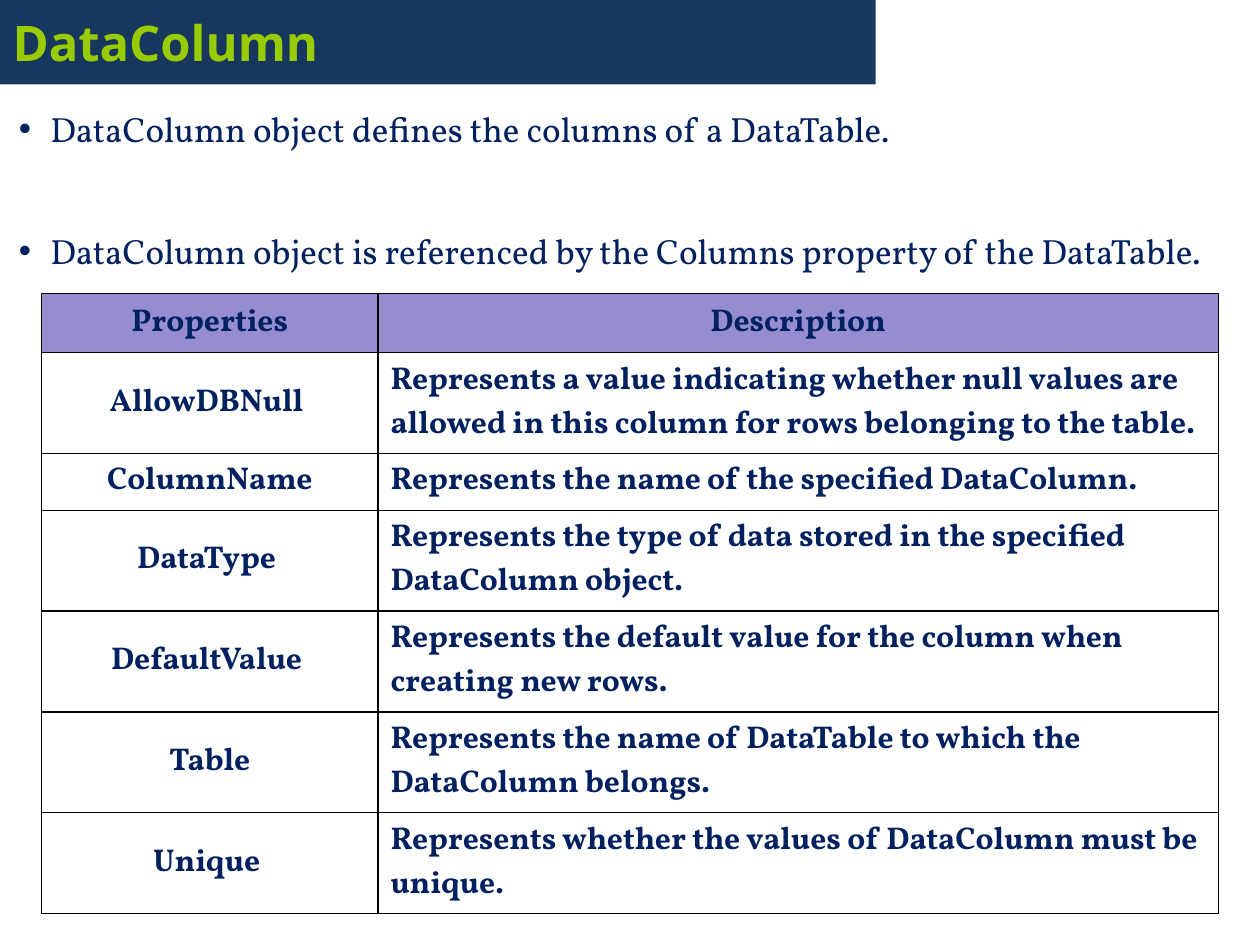
from lxml.etree import SubElement
from pptx import Presentation
from pptx.dml.color import RGBColor
from pptx.enum.text import MSO_ANCHOR, MSO_AUTO_SIZE, PP_ALIGN
from pptx.oxml.ns import qn
from pptx.util import Inches, Pt

COLORS = {
    "banner": "17375E",
    "title": "99CC00",
    "text": "002060",
    "header": "958DCF",
    "cell": "FFFFFF",
    "border": "000000",
}
TITLE_FONT = "Open Sans"
BODY_FONT = "Vollkorn"
BULLETS = [
    "DataColumn object defines the columns of a DataTable.",
    "DataColumn object is referenced by the Columns property of the DataTable.",
]
PROPERTIES = [
    ("Properties", "Description"),
    ("AllowDBNull ", "Represents a value indicating whether null values are "
     "allowed in this column for rows belonging to the table."),
    ("ColumnName", "Represents the name of the specified DataColumn."),
    ("DataType ", "Represents the type of data stored in the specified DataColumn object."),
    ("DefaultValue ", "Represents the default value for the column when creating new rows."),
    ("Table", "Represents the name of DataTable to which the DataColumn belongs."),
    ("Unique ", "Represents whether the values of DataColumn must be unique."),
]
COLUMN_WIDTHS = [2.67, 6.67]
ROW_HEIGHTS = [0.47, 0.8, 0.45, 0.8, 0.8, 0.8, 0.8]


def color(name):
    return RGBColor.from_string(COLORS[name])


def fill_solid(target, name):
    target.fill.solid()
    target.fill.fore_color.rgb = color(name)


def format_runs(paragraph, font_name, size, color_name, bold):
    for run in paragraph.runs:
        run.font.name = font_name
        run.font.size = Pt(size)
        run.font.bold = bold
        run.font.color.rgb = color(color_name)


def place(shape, left, top, width, height):
    shape.left, shape.top = Inches(left), Inches(top)
    shape.width, shape.height = Inches(width), Inches(height)
    shape.text_frame.auto_size = MSO_AUTO_SIZE.NONE


def set_bullet(paragraph, indent):
    properties = paragraph._p.get_or_add_pPr()
    properties.set("marL", str(Inches(indent)))
    properties.set("indent", str(-Inches(indent)))
    SubElement(properties, qn("a:buFont")).set("typeface", "Arial")
    SubElement(properties, qn("a:buChar")).set("char", "•")


def set_borders(cell):
    properties = cell._tc.get_or_add_tcPr()
    for index, side in enumerate(("a:lnL", "a:lnR", "a:lnT", "a:lnB")):
        line = properties.makeelement(qn(side), {"w": str(Pt(1))})
        solid = SubElement(line, qn("a:solidFill"))
        SubElement(solid, qn("a:srgbClr")).set("val", COLORS["border"])
        properties.insert(index, line)


def add_title(slide, box):
    title = slide.shapes.title
    place(title, *box)
    fill_solid(title, "banner")
    frame = title.text_frame
    frame.text = "DataColumn"
    frame.vertical_anchor = MSO_ANCHOR.MIDDLE
    paragraph = frame.paragraphs[0]
    paragraph.alignment = PP_ALIGN.LEFT
    format_runs(paragraph, TITLE_FONT, 28, "title", True)


def add_bullets(slide, box):
    body = slide.placeholders[1]
    place(body, *box)
    frame = body.text_frame
    frame.text = "\n".join(BULLETS)
    frame.vertical_anchor = MSO_ANCHOR.TOP
    for index, paragraph in enumerate(frame.paragraphs):
        paragraph.line_spacing = 1.4
        paragraph.space_before = Pt(36 if index else 0)
        set_bullet(paragraph, 0.25)
        format_runs(paragraph, BODY_FONT, 20, "text", False)


def add_property_table(slide, box):
    frame = slide.shapes.add_table(
        len(PROPERTIES), len(COLUMN_WIDTHS), *(Inches(length) for length in box))
    table = frame.table
    for column, width in zip(table.columns, COLUMN_WIDTHS):
        column.width = Inches(width)
    for row_index, texts in enumerate(PROPERTIES):
        table.rows[row_index].height = Inches(ROW_HEIGHTS[row_index])
        for column_index, text in enumerate(texts):
            cell = table.cell(row_index, column_index)
            cell.text_frame.text = text
            cell.vertical_anchor = MSO_ANCHOR.MIDDLE
            fill_solid(cell, "cell" if row_index else "header")
            set_borders(cell)
            paragraph = cell.text_frame.paragraphs[0]
            centered = row_index == 0 or column_index == 0
            paragraph.alignment = PP_ALIGN.CENTER if centered else PP_ALIGN.LEFT
            format_runs(paragraph, BODY_FONT, 18, "text", True)


def main():
    presentation = Presentation()
    presentation.slide_width = Inches(10)
    presentation.slide_height = Inches(7.5)
    slide = presentation.slides.add_slide(presentation.slide_layouts[1])
    add_title(slide, (0, 0, 6.95, 0.67))
    add_bullets(slide, (0.05, 0.67, 9.95, 1.5))
    add_property_table(slide, (0.33, 2.33, sum(COLUMN_WIDTHS), sum(ROW_HEIGHTS)))
    presentation.save("out.pptx")


if __name__ == "__main__":
    main()
